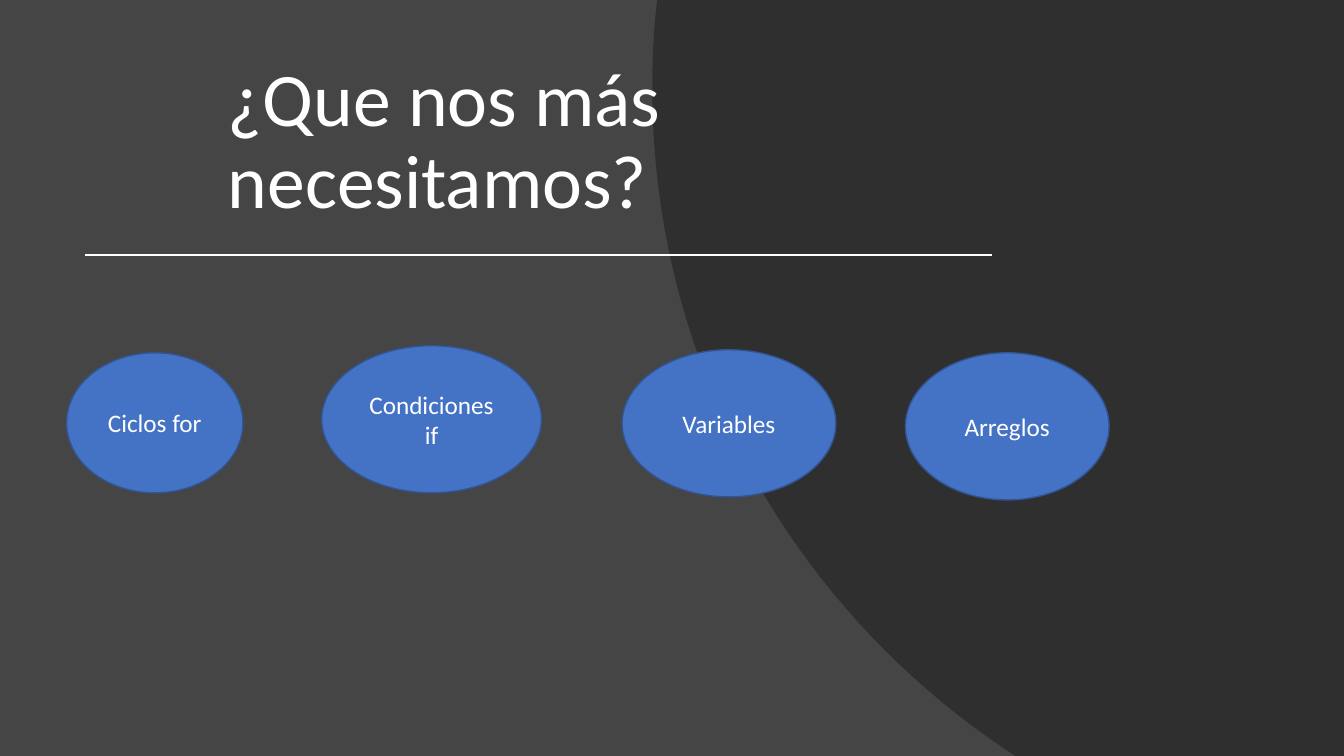
import pptx
import pptx.util
import pptx.dml.color
import pptx.enum.shapes
import pptx.enum.text
import pptx.oxml.ns
import lxml.etree

Inches = pptx.util.Inches
Align = pptx.enum.text.PP_ALIGN
Anchor = pptx.enum.text.MSO_ANCHOR

COLORS = {
    "background": "454545",
    "curve": "262626",
    "text": "FFFFFF",
    "oval": "4472C4",
    "outline": "325491",
}


def color(name):
    return pptx.dml.color.RGBColor.from_string(COLORS[name])


def add_element(parent, tag, **attributes):
    return lxml.etree.SubElement(parent, pptx.oxml.ns.qn(tag), attributes)


def write_text(shape, text, size, align, anchor, font="Calibri", spacing=1.0):
    frame = shape.text_frame
    frame.word_wrap = True
    frame.auto_size = pptx.enum.text.MSO_AUTO_SIZE.NONE
    frame.vertical_anchor = anchor
    para = frame.paragraphs[0]
    para.alignment = align
    para.line_spacing = spacing
    span = para.add_run()
    span.text = text
    span.font.name = font
    span.font.size = pptx.util.Pt(size)
    span.font.color.rgb = color("text")


def bezier(start, control_a, control_b, end, steps=40):
    points = []
    for step in range(1, steps + 1):
        t = step / steps
        weights = ((1 - t) ** 3, 3 * t * (1 - t) ** 2, 3 * t * t * (1 - t), t ** 3)
        corners = (start, control_a, control_b, end)
        points.append(tuple(sum(w * c[axis] for w, c in zip(weights, corners)) for axis in (0, 1)))
    return points


class Page:
    def __init__(self, deck):
        self.slide = deck.slides.add_slide(deck.slide_layouts[5])
        fill = self.slide.background.fill
        fill.solid()
        fill.fore_color.rgb = color("background")

    def panel(self, points, fill, opacity):
        corners = [(Inches(x), Inches(y)) for x, y in points]
        builder = self.slide.shapes.build_freeform(*corners[0])
        builder.add_line_segments(corners[1:], close=True)
        shape = builder.convert_to_shape()
        shape.shadow.inherit = False
        shape.fill.solid()
        shape.fill.fore_color.rgb = color(fill)
        shape.line.fill.background()
        tint = shape._element.spPr.find(".//" + pptx.oxml.ns.qn("a:srgbClr"))
        add_element(tint, "a:alpha", val=str(opacity * 1000))

    def title(self, text, left, top, width, height):
        box = self.slide.shapes.title
        box.left, box.top, box.width, box.height = map(Inches, (left, top, width, height))
        box.text_frame.margin_right = Inches(0.3)
        write_text(box, text, 54, Align.LEFT, Anchor.BOTTOM, spacing=0.9)
        box._element.getparent().append(box._element)

    def rule(self, left, right, top):
        line = self.slide.shapes.add_connector(
            pptx.enum.shapes.MSO_CONNECTOR.STRAIGHT,
            Inches(left), Inches(top), Inches(right), Inches(top))
        line.line.color.rgb = color("text")
        line.line.width = pptx.util.Pt(1.5)
        add_element(line._element.spPr, "a:effectLst")

    def oval(self, text, left, top, width, height):
        shape = self.slide.shapes.add_shape(
            pptx.enum.shapes.MSO_SHAPE.OVAL, *map(Inches, (left, top, width, height)))
        shape.shadow.inherit = False
        shape.fill.solid()
        shape.fill.fore_color.rgb = color("oval")
        shape.line.color.rgb = color("outline")
        shape.line.width = pptx.util.Pt(1)
        write_text(shape, text, 18, Align.CENTER, Anchor.MIDDLE)


def main():
    deck = pptx.Presentation()
    deck.slide_width, deck.slide_height = Inches(13.33), Inches(7.5)
    page = Page(deck)

    outline = [(6.52, 0), (13.33, 0), (13.33, 7.5), (10.07, 7.5), (9.95, 7.42)]
    outline += bezier(outline[-1], (7.85, 6), (6.47, 3.6), (6.47, 0.88))
    outline += bezier(outline[-1], (6.47, 0.61), (6.48, 0.34), (6.51, 0.07))
    page.panel(outline, "curve", opacity=70)

    page.title("¿Que nos más necesitamos?", 2.16, 1.42, 8.79, 0.86)
    page.rule(0.84, 9.84, 2.53)

    for topic in (
        ("Ciclos for", 0.66, 3.5, 1.75, 1.39),
        ("Condiciones if", 3.19, 3.43, 2.18, 1.46),
        ("Variables", 6.17, 3.47, 2.12, 1.46),
        ("Arreglos", 8.98, 3.5, 2.02, 1.46),
    ):
        page.oval(*topic)

    deck.save("out.pptx")


if __name__ == "__main__":
    main()
